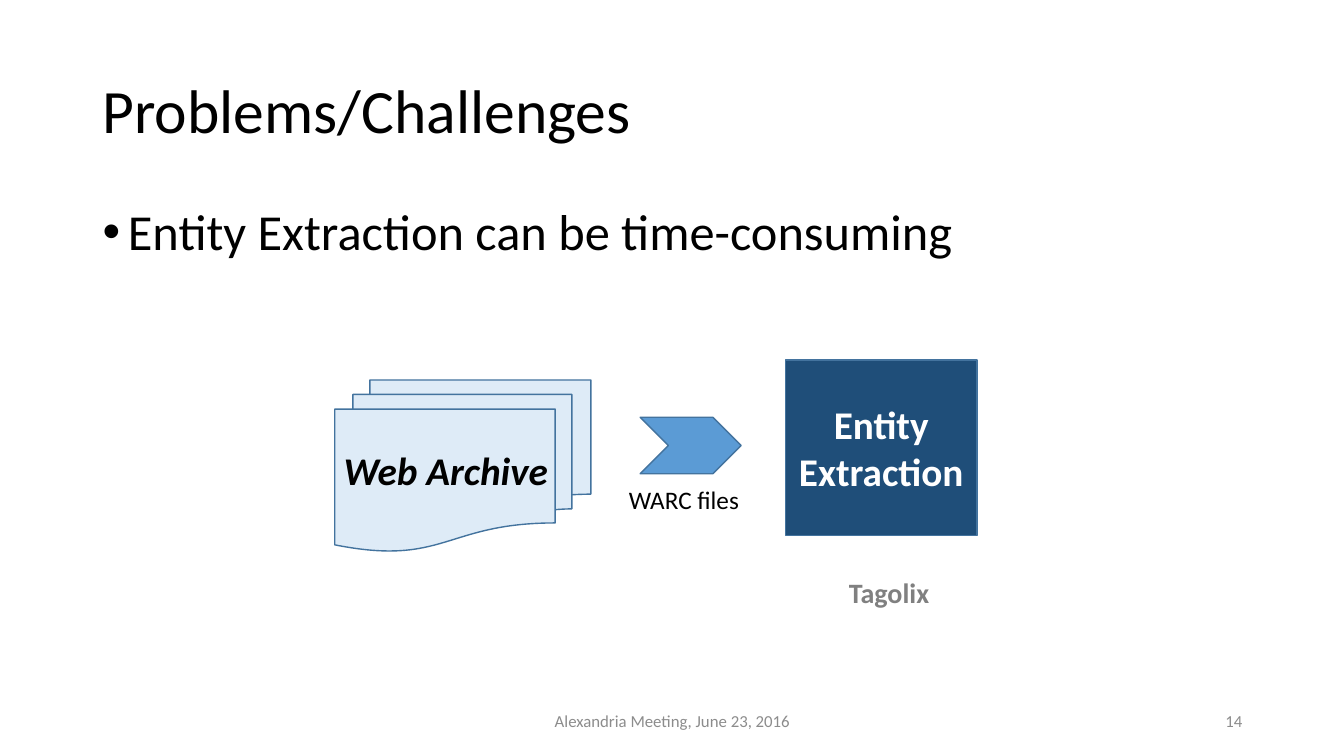
from dataclasses import dataclass

from lxml import etree
from pptx import Presentation
from pptx.dml.color import RGBColor
from pptx.enum.shapes import MSO_SHAPE
from pptx.enum.text import MSO_ANCHOR, PP_ALIGN
from pptx.oxml.ns import qn
from pptx.shapes.autoshape import Shape
from pptx.slide import Slide
from pptx.text.text import TextFrame
from pptx.util import Inches, Pt

TOP, MIDDLE = MSO_ANCHOR.TOP, MSO_ANCHOR.MIDDLE
LEFT, CENTER, RIGHT = PP_ALIGN.LEFT, PP_ALIGN.CENTER, PP_ALIGN.RIGHT
DOCUMENTS = MSO_SHAPE.FLOWCHART_MULTIDOCUMENT
CHEVRON = MSO_SHAPE.CHEVRON
PROCESS = MSO_SHAPE.FLOWCHART_PROCESS

FONT = "Calibri"
BLACK, WHITE, GRAY, FOOTER_GRAY = "000000", "FFFFFF", "808080", "8C8C8C"
OUTLINE, PALE_BLUE, BLUE, NAVY = "43739E", "DEEBF7", "5B9BD5", "1F4E79"


@dataclass(frozen=True)
class Area:
    left: float
    top: float
    width: float
    height: float

    def lengths(self) -> tuple[int, int, int, int]:
        return (Inches(self.left), Inches(self.top),
                Inches(self.width), Inches(self.height))


@dataclass(frozen=True)
class Label:
    text: str
    area: Area
    size: int
    color: str = BLACK
    bold: bool = False
    italic: bool = False
    align: PP_ALIGN = LEFT
    anchor: MSO_ANCHOR = TOP
    wrap: bool = True
    line_spacing: float = 1.0
    bullet: bool = False


@dataclass(frozen=True)
class Symbol:
    kind: MSO_SHAPE
    area: Area
    fill: str


LABELS = [
    Label("Problems/Challenges", Area(0.92, 0.4, 11.5, 1.45), 44,
          anchor=MIDDLE, line_spacing=0.9),
    Label("Entity Extraction can be time-consuming", Area(0.92, 2, 11.68, 1.3), 36,
          line_spacing=0.9, bullet=True),
    Label("Web Archive", Area(3.31, 4.38, 2.31, 0.57), 28, bold=True, italic=True),
    Label("WARC files", Area(6.14, 4.76, 1.3, 0.4), 18, wrap=False),
    Label("Tagolix", Area(8.32, 5.66, 1.08, 0.44), 20, GRAY, bold=True, wrap=False),
    Label("Alexandria Meeting, June 23, 2016", Area(4.42, 6.95, 4.5, 0.4), 12,
          FOOTER_GRAY, align=CENTER, anchor=MIDDLE),
    Label("14", Area(9.42, 6.95, 3, 0.4), 12, FOOTER_GRAY, align=RIGHT, anchor=MIDDLE),
]
ARCHIVE = Symbol(DOCUMENTS, Area(3.32, 3.77, 2.54, 1.7), PALE_BLUE)
ARROW = Symbol(CHEVRON, Area(6.35, 4.14, 1, 0.56), BLUE)
EXTRACTION = Symbol(PROCESS, Area(7.79, 3.57, 1.9, 1.74), NAVY)


def rgb(color: str) -> RGBColor:
    return RGBColor.from_string(color)


def write(frame: TextFrame, text: str, *, size: int, color: str = BLACK,
          bold: bool = False, italic: bool = False, align: PP_ALIGN = LEFT,
          anchor: MSO_ANCHOR = TOP, wrap: bool = True,
          line_spacing: float = 1.0, bullet: bool = False) -> None:
    frame.word_wrap = wrap
    frame.vertical_anchor = anchor
    para = frame.paragraphs[0]
    para.alignment = align
    para.line_spacing = line_spacing
    if bullet:
        properties = para._p.get_or_add_pPr()
        properties.set("marL", str(Inches(0.25)))
        properties.set("indent", str(-Inches(0.25)))
        etree.SubElement(properties, qn("a:buFont")).set("typeface", "Arial")
        etree.SubElement(properties, qn("a:buChar")).set("char", "•")
    span = para.add_run()
    span.text = text
    font = span.font
    font.name, font.size = FONT, Pt(size)
    font.bold, font.italic = bold, italic
    font.color.rgb = rgb(color)


def add_label(page: Slide, label: Label) -> None:
    box = page.shapes.add_textbox(*label.area.lengths())
    write(box.text_frame, label.text, size=label.size, color=label.color,
          bold=label.bold, italic=label.italic, align=label.align,
          anchor=label.anchor, wrap=label.wrap,
          line_spacing=label.line_spacing, bullet=label.bullet)


def add_symbol(page: Slide, symbol: Symbol) -> Shape:
    shape = page.shapes.add_shape(symbol.kind, *symbol.area.lengths())
    shape.shadow.inherit = False
    shape.fill.solid()
    shape.fill.fore_color.rgb = rgb(symbol.fill)
    shape.line.color.rgb = rgb(OUTLINE)
    shape.line.width = Pt(1)
    return shape


def main() -> None:
    deck = Presentation()
    deck.slide_width, deck.slide_height = Inches(13.33), Inches(7.5)
    page = deck.slides.add_slide(deck.slide_layouts[6])
    add_symbol(page, ARCHIVE)
    add_symbol(page, ARROW)
    extraction = add_symbol(page, EXTRACTION)
    write(extraction.text_frame, "Entity Extraction", size=28, color=WHITE,
          bold=True, align=CENTER, anchor=MIDDLE)
    for label in LABELS:
        add_label(page, label)
    deck.save("out.pptx")


if __name__ == "__main__":
    main()
